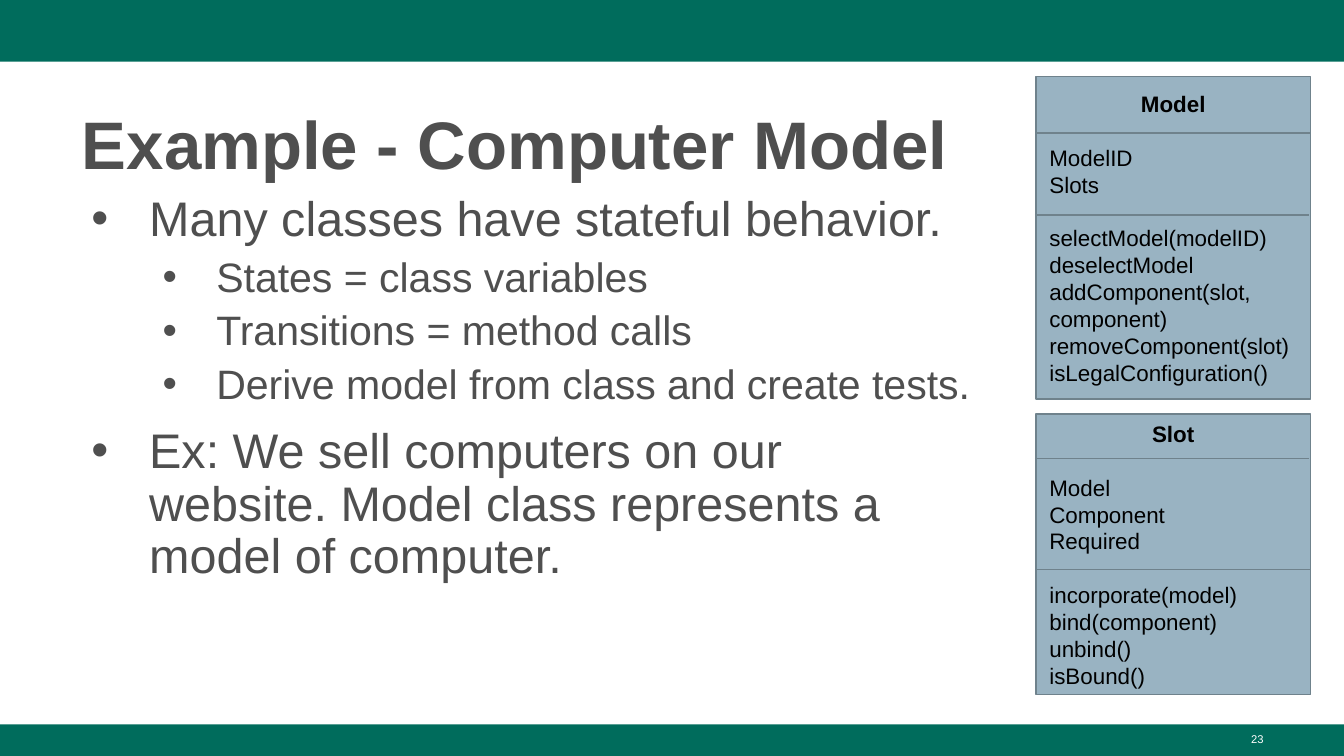
from lxml import etree
from pptx import Presentation
from pptx.dml.color import RGBColor
from pptx.enum.shapes import MSO_CONNECTOR, MSO_SHAPE
from pptx.enum.text import MSO_ANCHOR, MSO_AUTO_SIZE, PP_ALIGN
from pptx.oxml.ns import qn
from pptx.util import Inches, Pt

RECT = MSO_SHAPE.RECTANGLE
LINE = MSO_CONNECTOR.STRAIGHT
MIDDLE, TOP = MSO_ANCHOR.MIDDLE, MSO_ANCHOR.TOP
LEFT, CENTER, RIGHT = PP_ALIGN.LEFT, PP_ALIGN.CENTER, PP_ALIGN.RIGHT
NO_FIT = MSO_AUTO_SIZE.NONE

GREEN = RGBColor(0x00, 0x6C, 0x5C)
GRAY = RGBColor(0x4F, 0x4F, 0x4F)
BLUE = RGBColor(0x99, 0xB3, 0xC2)
EDGE = RGBColor(0x6F, 0x82, 0x8C)
BLACK = RGBColor(0, 0, 0)
WHITE = RGBColor(0xFF, 0xFF, 0xFF)

WIDTH = 10
HEIGHT = WIDTH * 9 / 16  # widescreen
BOX_LEFT, BOX_WIDTH = 7.71, 2.04
GAP = 14.4  # space between class sections, one line of text

# Per list level: size, space before, left margin, hanging indent
LEVELS = [(26, 10, 0.5, -0.43), (22, 5, 1, -0.4)]
POINTS = [
    (0, "Many classes have stateful behavior."),
    (1, "States = class variables"),
    (1, "Transitions = method calls"),
    (1, "Derive model from class and create tests."),
    (0, "Ex: We sell computers on our website. "
        "Model class represents a model of computer."),
]


def style(para, size, color, bold=False, align=LEFT):
    para.alignment = align
    font = para.font
    font.name, font.size, font.bold = "Arial", Pt(size), bold
    font.color.rgb = color


def place(shape, left, top, width, height):
    shape.left, shape.top = Inches(left), Inches(top)
    shape.width, shape.height = Inches(width), Inches(height)


def add_rect(slide, left, top, width, height, fill):
    rect = slide.shapes.add_shape(
        RECT, Inches(left), Inches(top), Inches(width), Inches(height))
    rect.shadow.inherit = False
    rect.fill.solid()
    rect.fill.fore_color.rgb = fill
    rect.line.fill.background()
    return rect


def add_rule(slide, left, top):
    rule = slide.shapes.add_connector(
        LINE, Inches(left), Inches(top),
        Inches(left + BOX_WIDTH), Inches(top))
    rule.line.color.rgb = EDGE
    rule.line.width = Pt(0.75)
    etree.SubElement(rule._element.spPr, qn("a:effectLst"))


def add_class(slide, top, height, rules, name, fields, methods):
    """Draw a class box with its name, fields and methods."""
    box = add_rect(slide, BOX_LEFT, top, BOX_WIDTH, height, BLUE)
    box.line.color.rgb = EDGE
    box.line.width = Pt(0.75)
    frame = box.text_frame
    frame.word_wrap = True
    frame.vertical_anchor = MIDDLE
    frame.margin_left = frame.margin_right = Inches(0.1)
    frame.margin_top = frame.margin_bottom = Inches(0.1)
    head = frame.paragraphs[0]
    head.text = name
    style(head, 12, BLACK, True, CENTER)
    for group in (fields, methods):
        for i, text in enumerate(group):
            para = frame.add_paragraph()
            para.text = text
            para.space_before = Pt(0 if i else GAP)
            style(para, 12, BLACK)
    for left, y in rules:
        add_rule(slide, left, y)


def set_title(slide, text):
    title = slide.shapes.title
    place(title, 0.51, 0.67, 8.99, 0.73)
    frame = title.text_frame
    frame.auto_size = NO_FIT
    frame.vertical_anchor = MIDDLE
    para = frame.paragraphs[0]
    para.text = text
    para.line_spacing = 1.08
    style(para, 36, GRAY, True)


def add_bullet(para, left, indent):
    props = para._p.get_or_add_pPr()
    props.set("marL", str(Inches(left)))
    props.set("indent", str(Inches(indent)))
    color = etree.SubElement(props, qn("a:buClr"))
    etree.SubElement(color, qn("a:srgbClr"), val=str(GRAY))
    etree.SubElement(props, qn("a:buFont"), typeface="Arial")
    etree.SubElement(props, qn("a:buChar"), char="•")


def set_list(slide, points):
    body = slide.placeholders[1]
    place(body, 0.51, 1.4, 6.84, 3.81)
    frame = body.text_frame
    frame.auto_size = NO_FIT
    frame.vertical_anchor = TOP
    for i, (level, text) in enumerate(points):
        para = frame.add_paragraph() if i else frame.paragraphs[0]
        size, before, left, indent = LEVELS[level]
        para.text = text
        para.level = level
        para.line_spacing = 0.9
        para.space_before = Pt(before if i else 0)
        add_bullet(para, left, indent)
        style(para, size, GRAY)


def add_number(slide, text):
    box = slide.shapes.add_textbox(
        Inches(7.17), Inches(5.4), Inches(2.33), Inches(0.23))
    box.text_frame.word_wrap = True
    para = box.text_frame.paragraphs[0]
    para.text = text
    style(para, 6, WHITE, align=RIGHT)


def main():
    deck = Presentation()
    deck.slide_width, deck.slide_height = Inches(WIDTH), Inches(HEIGHT)
    slide = deck.slides.add_slide(deck.slide_layouts[1])

    # Header and footer bands
    add_rect(slide, 0, 0, WIDTH, 0.46, GREEN)
    add_rect(slide, 0, 5.39, WIDTH, HEIGHT - 5.39, GREEN)
    add_number(slide, "23")

    # Title and list
    set_title(slide, "Example - Computer Model")
    set_list(slide, POINTS)

    # Class diagrams
    add_class(slide, 0.57, 2.4, [(7.71, 0.99), (7.7, 1.6)], "Model",
              ["ModelID", "Slots"],
              ["selectModel(modelID)", "deselectModel",
               "addComponent(slot, component)", "removeComponent(slot)",
               "isLegalConfiguration()"])
    add_class(slide, 3.08, 2.09, [(7.7, 3.41), (7.71, 4.24)], "Slot",
              ["Model", "Component", "Required"],
              ["incorporate(model)", "bind(component)", "unbind()",
               "isBound()"])

    deck.save("out.pptx")


if __name__ == "__main__":
    main()
